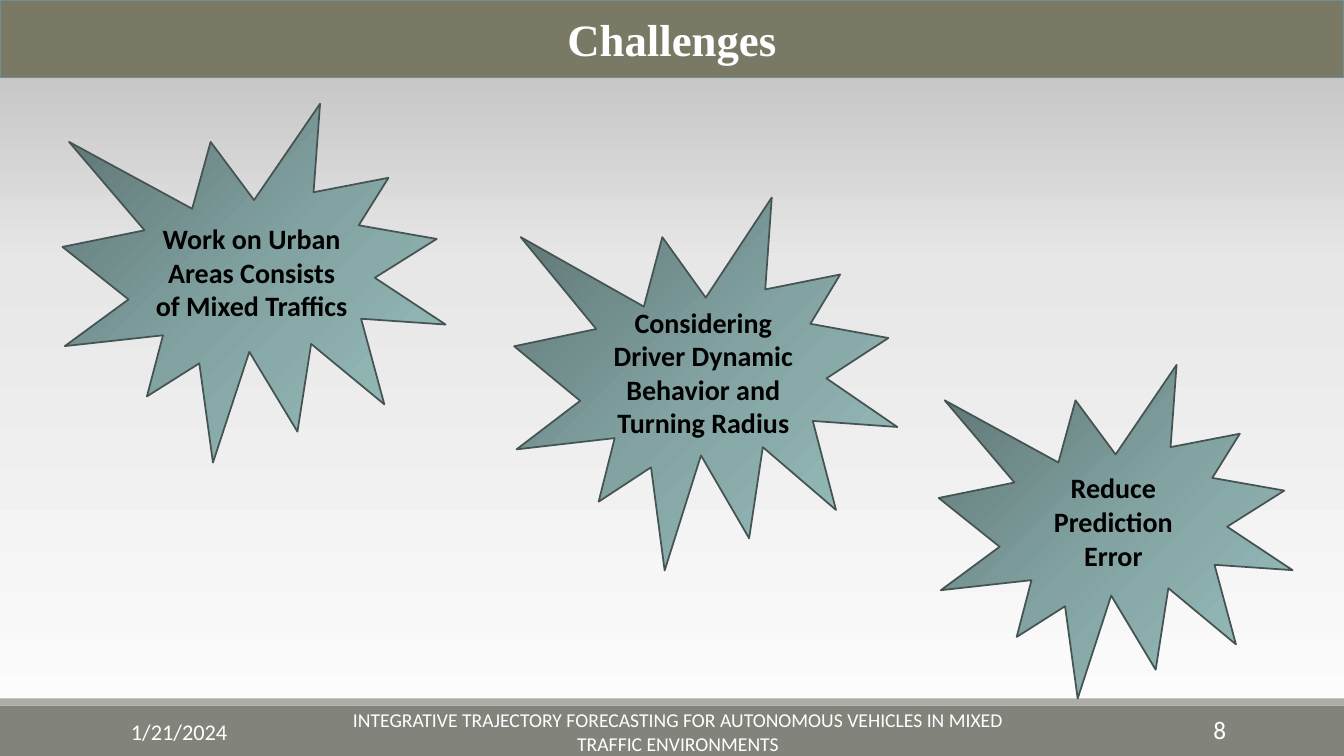
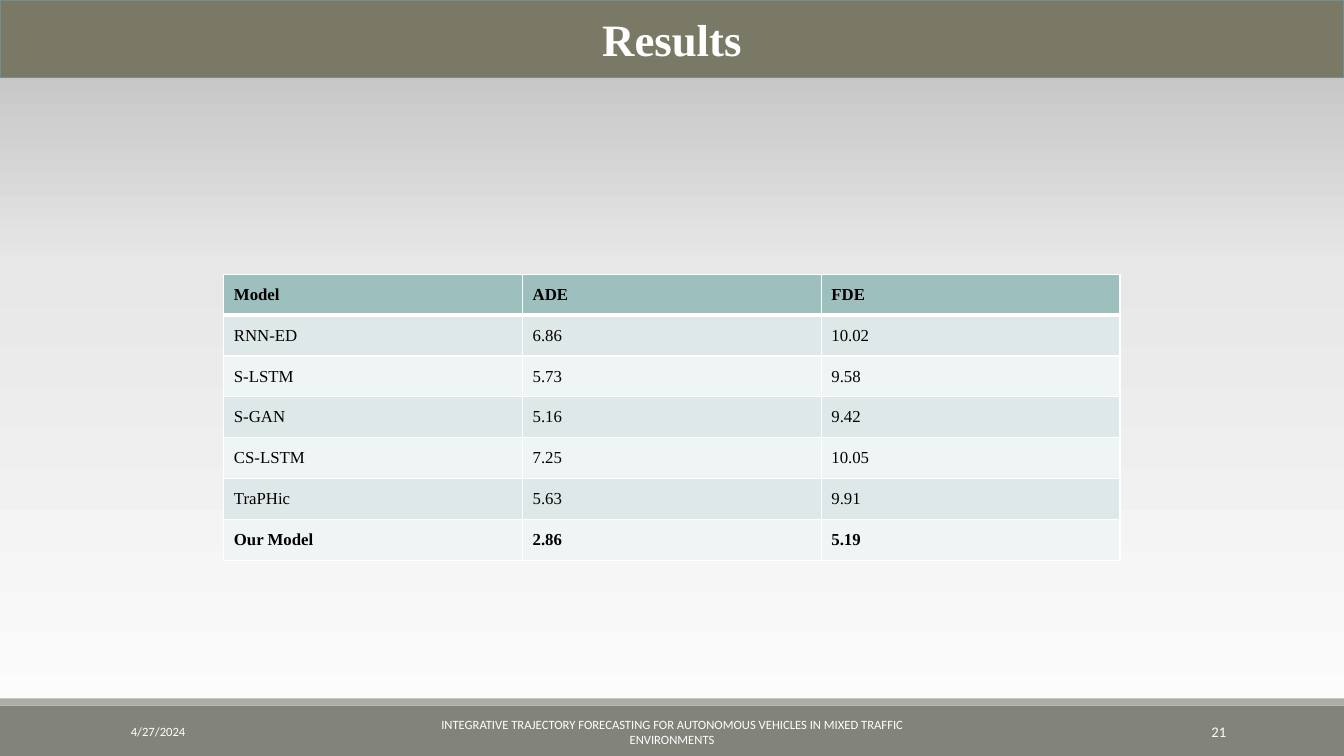
from copy import deepcopy

from lxml import etree
from pptx import Presentation
from pptx import util as u
from pptx.dml.color import RGBColor
from pptx.enum import shapes, text
from pptx.oxml import ns

WIDTH, HEIGHT = 13.33, 7.5
SANS, SERIF = "Calibri", "Times New Roman"
COLORS = {
    "title band": "797965",
    "title edge": "748D8D",
    "footer band": "82847C",
    "footer stripe": "ACADA8",
    "seal edge": "455453",
    "table header": "9DBFBE",
    "odd row": "DFE8E8",
    "even row": "EFF4F4",
    "white": "FFFFFF",
    "black": "000000",
}
BACKDROP = [(0, "FEFEFE"), (0.65, "E7E7E7"), (1, "B9B9B9")]
SEAL_FILL = [(0, "5C7372"), (0.5, "82A3A2"), (1, "9AC2C0")]
PROJECT = ("INTEGRATIVE TRAJECTORY FORECASTING FOR AUTONOMOUS VEHICLES "
           "IN MIXED TRAFFIC ENVIRONMENTS")
ALIGN = text.PP_ALIGN

CHALLENGES = [
    ("Work on Urban Areas Consists of Mixed Traffics", (0.62, 1.03, 3.8, 3.56)),
    ("Considering Driver Dynamic Behavior and Turning Radius", (5.1, 1.96, 3.8, 3.7)),
    ("Reduce Prediction Error", (9.31, 3.62, 3.51, 3.31)),
]
RESULTS = [
    ("Model", "ADE", "FDE"),
    ("RNN-ED", "6.86", "10.02"),
    ("S-LSTM", "5.73", "9.58"),
    ("S-GAN", "5.16", "9.42"),
    ("CS-LSTM", "7.25", "10.05"),
    ("TraPHic", "5.63", "9.91"),
    ("Our Model", "2.86", "5.19"),
]


def color(name):
    return RGBColor.from_string(COLORS[name])


def inches(box):
    return [u.Inches(length) for length in box]


def write(frame, words, size, font=SANS, ink="white", bold=False, align=ALIGN.LEFT):
    frame.word_wrap = True
    frame.vertical_anchor = text.MSO_ANCHOR.MIDDLE
    paragraph = frame.paragraphs[0]
    paragraph.alignment = align
    run = paragraph.add_run()
    run.text = words
    run.font.name, run.font.size, run.font.bold = font, u.Pt(size), bold
    run.font.color.rgb = color(ink)


def paint_gradient(fill, owner, stops, angle):
    """Fill with three stops; angle runs counter-clockwise in degrees."""
    fill.gradient()
    fill.gradient_angle = angle
    stop_list = owner.xpath(".//a:gsLst")[0]
    stop_list.append(deepcopy(stop_list[-1]))
    for stop, (position, shade) in zip(fill.gradient_stops, stops):
        stop.position = position
        stop.color.rgb = RGBColor.from_string(shade)


def outline(shape, name):
    shape.line.color.rgb = color(name)
    shape.line.width = u.Pt(1.25)


def add_band(slide, box, name):
    band = slide.shapes.add_shape(shapes.MSO_SHAPE.RECTANGLE, *inches(box))
    band.shadow.inherit = False
    band.fill.solid()
    band.fill.fore_color.rgb = color(name)
    band.line.fill.background()


def add_title(slide, words):
    title = slide.shapes.title
    title.left, title.top, title.width, title.height = inches((0, 0, WIDTH, 0.77))
    title.fill.solid()
    title.fill.fore_color.rgb = color("title band")
    outline(title, "title edge")
    write(title.text_frame, words, 32, SERIF, bold=True, align=ALIGN.CENTER)
    title.text_frame.auto_size = text.MSO_AUTO_SIZE.NONE


def add_footer(slide, date, number, project_box, sizes, number_top=7.06):
    """Sizes are those of the date, the project name and the slide number."""
    add_band(slide, (0, 7, WIDTH, 0.5), "footer band")
    add_band(slide, (0, 6.93, WIDTH, 0.07), "footer stripe")
    left, width = project_box
    parts = [
        (date, (1.2, 7.06, 2.7, 0.4), ALIGN.LEFT),
        (PROJECT, (left, 7.06, width, 0.4), ALIGN.CENTER),
        (number, (10.83, number_top, 1.43, 0.4), ALIGN.RIGHT),
    ]
    for (words, box, align), size in zip(parts, sizes):
        frame = slide.shapes.add_textbox(*inches(box)).text_frame
        write(frame, words, size, align=align)


def add_base_slide(deck, title, **footer):
    slide = deck.slides.add_slide(deck.slide_layouts[5])
    paint_gradient(slide.background.fill, slide._element, BACKDROP, 90)
    add_title(slide, title)
    add_footer(slide, **footer)
    return slide


def add_seal(slide, words, box):
    seal = slide.shapes.add_shape(shapes.MSO_SHAPE.EXPLOSION1, *inches(box))
    seal.shadow.inherit = False
    paint_gradient(seal.fill, seal._element, SEAL_FILL, 315)
    outline(seal, "seal edge")
    write(seal.text_frame, words, 20, ink="black", bold=True, align=ALIGN.CENTER)


def set_borders(cell, **widths):
    properties = cell._tc.get_or_add_tcPr()
    for side in "LRTB":
        line = etree.SubElement(properties, ns.qn(f"a:ln{side}"),
                                w=str(u.Pt(widths.get(side, 1))))
        fill = etree.SubElement(line, ns.qn("a:solidFill"))
        etree.SubElement(fill, ns.qn("a:srgbClr"), val=COLORS["white"])


def add_results_table(slide, rows, box):
    table = slide.shapes.add_table(len(rows), len(rows[0]), *inches(box)).table
    table.horz_banding = False
    last = len(rows) - 1
    for r, values in enumerate(rows):
        shade = "table header" if r == 0 else "odd row" if r % 2 else "even row"
        heavy = {0: {"B": 3}, 1: {"T": 3}}.get(r, {})
        for c, value in enumerate(values):
            cell = table.cell(r, c)
            set_borders(cell, **heavy)
            cell.fill.solid()
            cell.fill.fore_color.rgb = color(shade)
            cell.vertical_anchor = text.MSO_ANCHOR.MIDDLE
            write(cell.text_frame, value, 12, SERIF, "black", bold=r in (0, last))


def add_challenges_slide(deck):
    slide = add_base_slide(deck, "Challenges", date="1/21/2024", number="8",
                           project_box=(3.38, 6.69), sizes=(16, 14, 18),
                           number_top=7.04)
    for words, box in CHALLENGES:
        add_seal(slide, words, box)


def add_results_slide(deck):
    slide = add_base_slide(deck, "Results", date="4/27/2024", number="21",
                           project_box=(4.03, 5.27), sizes=(9, 9, 10.5))
    add_results_table(slide, RESULTS, (2.22, 2.72, 8.89, 2.84))


def main():
    deck = Presentation()
    deck.slide_width, deck.slide_height = inches((WIDTH, HEIGHT))
    add_challenges_slide(deck)
    add_results_slide(deck)
    deck.save("out.pptx")


if __name__ == "__main__":
    main()
